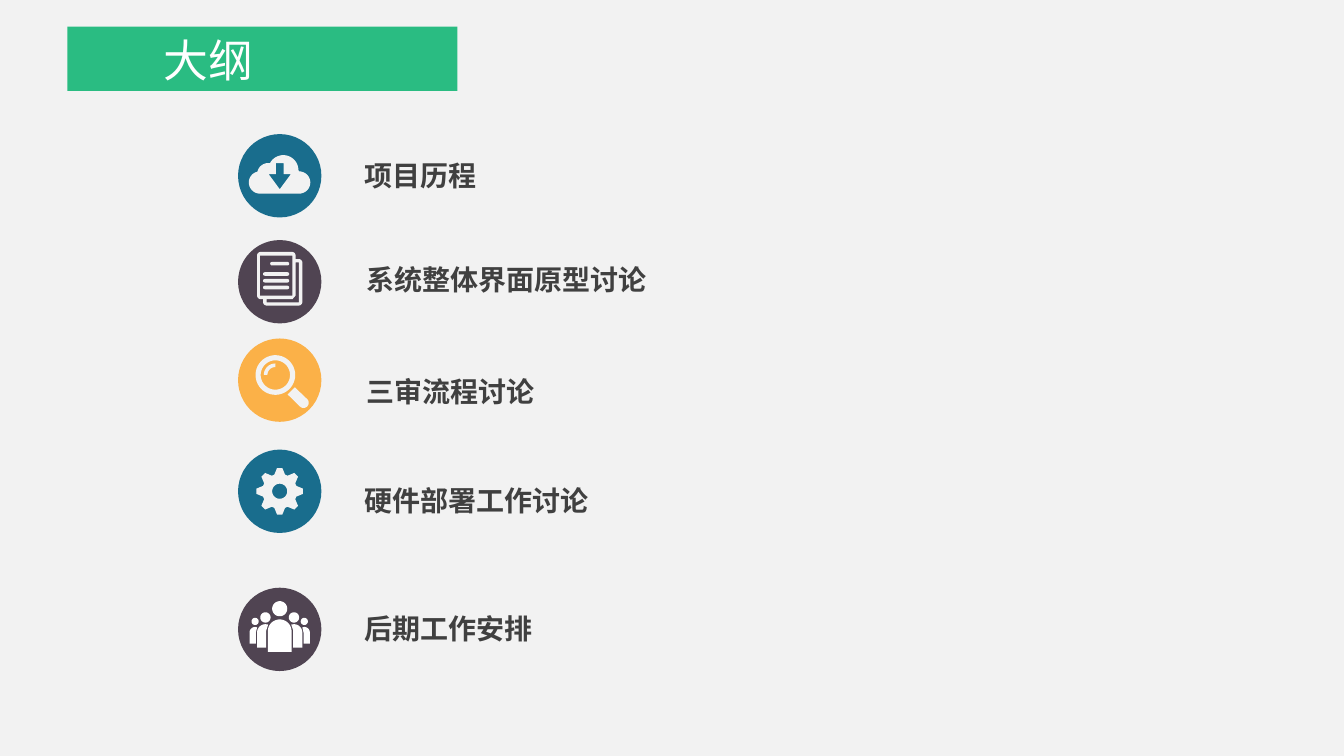
import math
from dataclasses import dataclass

import pptx
import pptx.dml.color
import pptx.enum.shapes
import pptx.enum.text
import pptx.oxml.ns
import pptx.util
from lxml import etree

Cm = pptx.util.Cm
SHAPES = pptx.enum.shapes.MSO_SHAPE


@dataclass(frozen=True)
class Theme:
    font: str = "Noto Sans CJK SC"
    background: str = "F2F2F2"
    banner: str = "20BA7C"
    blue: str = "196D8D"
    plum: str = "504452"
    amber: str = "FBB148"
    white: str = "FFFFFF"
    ink: str = "404040"
    title_size: int = 32
    label_size: int = 20


THEME = Theme()
BADGE_LEFT = 6.0
BADGE_SIZE = 2.1
LABEL_HEIGHT = 1.12


def rgb(colour):
    return pptx.dml.color.RGBColor.from_string(colour)


def paint(shape, colour):
    shape.shadow.inherit = False
    shape.fill.solid()
    shape.fill.fore_color.rgb = rgb(colour)
    shape.line.fill.background()
    return shape


def add_preset(shapes, kind, box, colour):
    return paint(shapes.add_shape(kind, *(Cm(length) for length in box)), colour)


def add_text(page, box, text, size, colour, bold=False):
    frame = page.shapes.add_textbox(*(Cm(length) for length in box)).text_frame
    frame.word_wrap = True
    frame.auto_size = pptx.enum.text.MSO_AUTO_SIZE.SHAPE_TO_FIT_TEXT
    span = frame.paragraphs[0].add_run()
    span.text = text
    span.font.size = pptx.util.Pt(size)
    span.font.bold = bold
    span.font.color.rgb = rgb(colour)
    span.font.name = THEME.font
    # East Asian typeface
    east_asian = etree.SubElement(span.font._element, pptx.oxml.ns.qn("a:ea"))
    east_asian.set("typeface", THEME.font)


def arc(x, y, radius, start, end):
    """Points along a clockwise arc, angles in degrees from the right."""
    steps = max(6, round(abs(end - start) / 8))
    angles = [math.radians(start + (end - start) * step / steps)
              for step in range(steps + 1)]
    return [(x + radius * math.cos(a), y + radius * math.sin(a)) for a in angles]


def circle(x, y, radius):
    return arc(x, y, radius, 0, 360)


def add_outline(shapes, centre, contours, colour):
    """Draw closed contours, given in cm from the centre, as one shape."""
    placed = [[(Cm(centre[0] + x), Cm(centre[1] + y)) for x, y in contour]
              for contour in contours]
    builder = shapes.build_freeform(*placed[0][0], scale=1.0)
    for index, contour in enumerate(placed):
        if index:
            builder.move_to(*contour[0])
        builder.add_line_segments(contour[1:], close=True)
    paint(builder.convert_to_shape(), colour)


# Icons, each drawn around the centre of its badge
def draw_cloud(shapes, centre):
    cloud = (arc(-.5, .17, .28, 90, 255) + arc(-.29, -.04, .28, 195, 275)
             + arc(.09, -.14, .38, 208, 360) + arc(.49, .17, .28, 270, 450))
    arrow = [(0, .34), (-.28, -.04), (-.1, -.04), (-.1, -.32),
             (.1, -.32), (.1, -.04), (.28, -.04)]
    add_outline(shapes, centre, [cloud, arrow], THEME.background)


def draw_document(shapes, centre):
    sheets = (arc(-.48, -.66, .09, 180, 270) + arc(.31, -.66, .09, 270, 360)
              + [(.4, -.57)] + arc(.48, -.48, .09, 270, 360)
              + arc(.48, .51, .09, 0, 90) + arc(-.33, .51, .09, 90, 180)
              + [(-.42, .44)] + arc(-.48, .35, .09, 90, 180))
    front = [(-.5, -.66), (.32, -.66), (.32, .35), (-.5, .35)]
    back = [(.48, .52), (-.33, .52), (-.33, .44), (.32, .44),
            (.4, .35), (.4, -.49), (.48, -.49)]
    add_outline(shapes, centre, [sheets, front, back], THEME.background)
    lines = [(-.24, -.5, .48)] + [(-.42, -.24 + .17 * row, .66) for row in range(3)]
    for x, y, width in lines:
        line = add_preset(shapes, SHAPES.ROUNDED_RECTANGLE,
                          (centre[0] + x, centre[1] + y, width, .09), THEME.background)
        line.adjustments[0] = .5


def draw_magnifier(shapes, centre):
    x, y = -.11, -.13
    handle = [(.2, .36), (.38, .18)] + arc(.6, .57, .13, -45, 135)
    lens = [circle(x, y, .5), circle(x, y, .37)]
    glint = arc(x, y, .29, 180, 270) + arc(x, y, .2, 270, 180)
    for contours in ([handle], lens, [glint]):
        add_outline(shapes, centre, contours, THEME.background)


def draw_gear(shapes, centre):
    tooth = [(-18, .44), (-6.5, .59), (6.5, .59), (18, .44)]
    rim = [point for turn in range(0, 360, 45) for angle, radius in tooth
           for point in arc(0, 0, radius, turn + angle, turn + angle)[:1]]
    add_outline(shapes, centre, [rim, circle(0, 0, .19)], THEME.background)


def draw_people(shapes, centre):
    leader = arc(0, .05, .3, 180, 360) + [(.3, .57), (-.3, .57)]
    contours = [circle(0, -.52, .19), leader]
    second = [(.34, .46), (.34, .03), (.29, -.12)] + arc(.36, .08, .21, -90, 0) + [(.57, .46)]
    third = [(.6, .36), (.6, .08), (.57, -.05)] + arc(.62, .08, .14, -90, 0) + [(.76, .36)]
    for contour in (circle(.36, -.3, .13), circle(.62, -.2, .09), second, third):
        contours += [contour, [(-x, y) for x, y in contour]]
    add_outline(shapes, centre, contours, THEME.white)


def add_banner(page, box):
    left, top, width, height = box
    band = add_preset(page.shapes, SHAPES.RECTANGLE, box, THEME.banner)
    # Slight transparency
    colour = band._element.spPr.find(".//" + pptx.oxml.ns.qn("a:srgbClr"))
    etree.SubElement(colour, pptx.oxml.ns.qn("a:alpha")).set("val", "95000")
    add_text(page, (left + 2.18, top + .03, 5.05, height), "大纲",
             THEME.title_size, THEME.white)


def add_badge(page, box, colour, draw_icon):
    left, top, width, height = box
    shapes = page.shapes.add_group_shape().shapes
    add_preset(shapes, SHAPES.OVAL, box, colour)
    draw_icon(shapes, (left + width / 2, top + height / 2))


def add_outline_slide(deck):
    page = deck.slides.add_slide(deck.slide_layouts[6])
    page.background.fill.solid()
    page.background.fill.fore_color.rgb = rgb(THEME.background)
    add_banner(page, (1.7, .67, 9.83, 1.62))

    # Badge top, colour, icon, then label text, left, top and width
    topics = [
        (3.38, THEME.blue, draw_cloud, "项目历程", 8.94, 3.86, 8.23),
        (6.05, THEME.plum, draw_document, "系统整体界面原型讨论", 8.99, 6.48, 7.85),
        (8.53, THEME.amber, draw_magnifier, "三审流程讨论", 8.99, 9.3, 9.63),
        (11.33, THEME.blue, draw_gear, "硬件部署工作讨论", 8.94, 12.07, 10.13),
        (14.81, THEME.plum, draw_people, "后期工作安排", 8.94, 15.29, 18.9),
    ]
    for badge_top, colour, draw_icon, text, left, top, width in topics:
        add_badge(page, (BADGE_LEFT, badge_top, BADGE_SIZE, BADGE_SIZE), colour, draw_icon)
        add_text(page, (left, top, width, LABEL_HEIGHT), text,
                 THEME.label_size, THEME.ink, bold=True)


def main():
    deck = pptx.Presentation()
    deck.slide_width, deck.slide_height = Cm(33.87), Cm(19.05)
    add_outline_slide(deck)
    deck.save("out.pptx")


if __name__ == "__main__":
    main()
